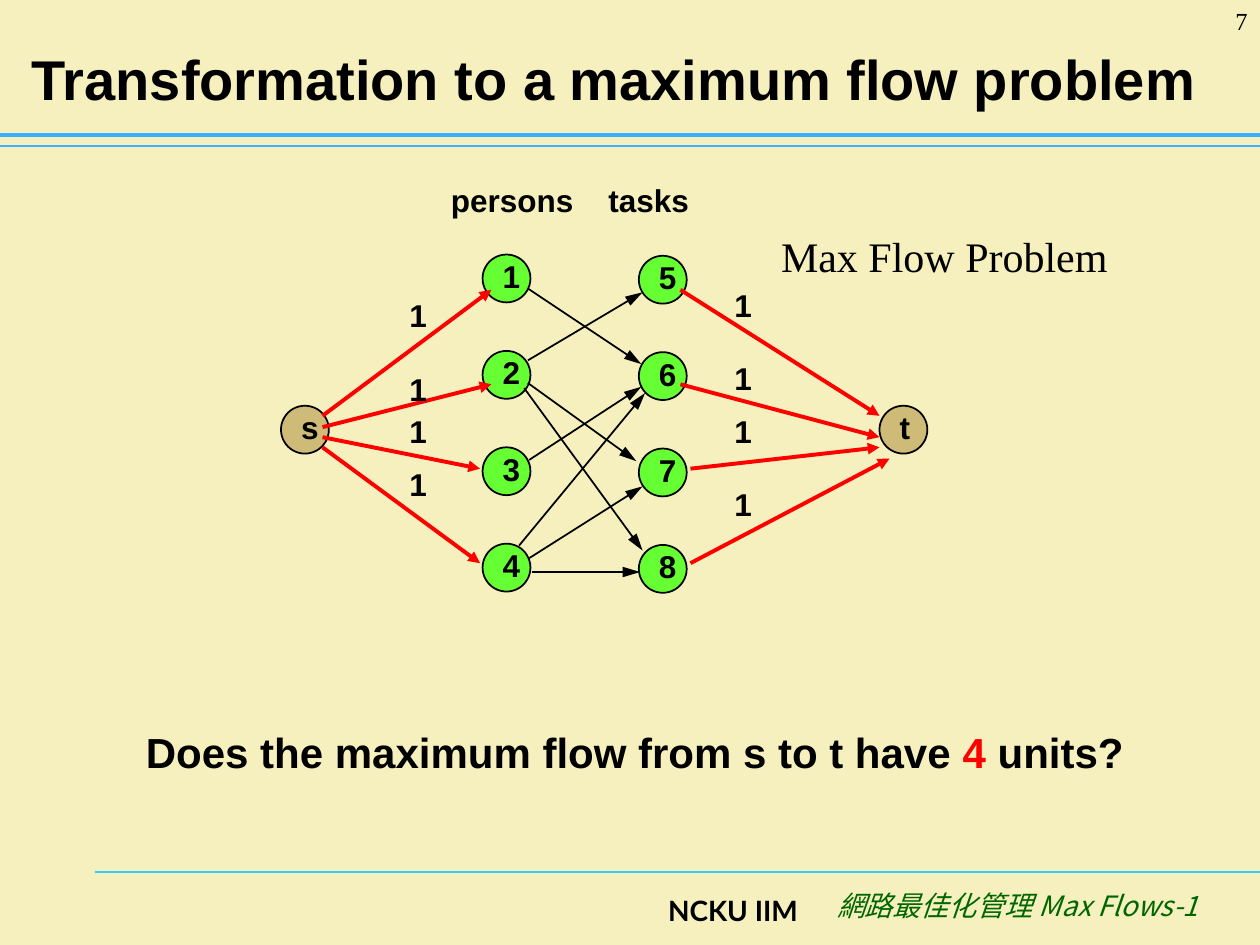
"""Build the slide that turns an assignment problem into a maximum flow problem."""
from lxml import etree
from pptx import Presentation
from pptx.dml.color import RGBColor
from pptx.enum.shapes import MSO_CONNECTOR, MSO_SHAPE
from pptx.enum.text import MSO_ANCHOR, PP_ALIGN
from pptx.oxml.ns import qn
from pptx.util import Inches, Pt

BLACK, RED, GREEN, TAN = "000000", "FF0000", "66FF33", "CDBB77"
RULE_BLUE = "3DB0FF"

deck = Presentation()
deck.slide_width, deck.slide_height = Inches(10), Inches(7.5)
slide = deck.slides.add_slide(deck.slide_layouts[6])
slide.background.fill.solid()
slide.background.fill.fore_color.rgb = RGBColor.from_string("F5F0BD")


def write(box, runs, size, font="Arial", bold=True, italic=False,
          align=PP_ALIGN.LEFT, inset=(0.1, 0.05), wrap=True):
    label = slide.shapes.add_textbox(*[Inches(v) for v in box])
    frame = label.text_frame
    frame.word_wrap = wrap
    frame.margin_left = frame.margin_right = Inches(inset[0])
    frame.margin_top = frame.margin_bottom = Inches(inset[1])
    paragraph = frame.paragraphs[0]
    paragraph.alignment = align
    for words, color in runs:
        run = paragraph.add_run()
        run.text = words
        run.font.size, run.font.name = Pt(size), font
        run.font.bold, run.font.italic = bold, italic
        run.font.color.rgb = RGBColor.from_string(color)
        etree.SubElement(run.font._element, qn("a:ea"), typeface=font)
    return frame


def draw_line(start, end, color, width, head=None):
    ends = [Inches(v) for v in (*start, *end)]
    edge = slide.shapes.add_connector(MSO_CONNECTOR.STRAIGHT, *ends)
    edge.line.color.rgb = RGBColor.from_string(color)
    edge.line.width = Pt(width)
    if head:
        etree.SubElement(edge.line._get_or_add_ln(), qn("a:tailEnd"),
                         type="triangle", w="med", len=head)
    etree.SubElement(edge._element.spPr, qn("a:effectLst"))


draw_line((0.75, 6.92), (10, 6.92), "33CCFF", 0.75)
draw_line((0, 1.16), (10, 1.16), RULE_BLUE, 0.75)
draw_line((0, 1.07), (10, 1.07), RULE_BLUE, 2.5)
write((4.43, 7.04, 2, 0.4), [("NCKU IIM", BLACK)], 16, "Lato", align=PP_ALIGN.RIGHT)
write((6.43, 7, 3.18, 0.5), [("網路最佳化管理 Max Flows-1", "006600")], 16,
      "Noto Sans CJK SC", bold=False, italic=True, align=PP_ALIGN.RIGHT)

title = write((0, 0.33, 9.75, 0.58), [("Transformation to a maximum flow problem", BLACK)],
              32, align=PP_ALIGN.CENTER)
title.vertical_anchor = MSO_ANCHOR.MIDDLE
write((1.06, 5.72, 8.17, 0.5),
      [("Does the maximum flow from s to t have ", BLACK), ("4", RED), (" units?", BLACK)], 24)

nodes = [("s", 2.23, 3.22, TAN), ("t", 6.98, 3.22, TAN)]
for row in range(4):
    top = 2.02 + 0.765 * row
    nodes += [(str(row + 1), 3.83, top, GREEN), (str(row + 5), 5.07, top + 0.01, GREEN)]
for name, left, top, color in nodes:
    node = slide.shapes.add_shape(MSO_SHAPE.OVAL, Inches(left), Inches(top),
                                  Inches(0.38), Inches(0.38))
    node.shadow.inherit = False
    node.fill.solid()
    node.fill.fore_color.rgb = RGBColor.from_string(color)
    node.line.color.rgb = RGBColor.from_string(BLACK)
    node.line.width = Pt(1)
    write((left + 0.16, top + 0.02, 0.16, 0.3), [(name, BLACK)], 18, inset=(0, 0))

possible_tasks = [
    ((4.19, 2.29), (5.09, 2.89)), ((4.19, 3.04), (5.05, 3.66)),
    ((4.16, 3.08), (5.1, 4.37)), ((4.12, 4.33), (5.12, 3.12)),
    ((4.2, 4.43), (5.1, 3.86)), ((4.19, 2.86), (5.1, 2.32)),
    ((4.2, 3.65), (5.09, 3.07)), ((4.22, 4.54), (5.08, 4.54)),
]
for start, end in possible_tasks:
    draw_line(start, end, BLACK, 1, "lg")

unit_flows = [
    ((2.56, 3.3), (3.9, 2.3), (3.15, 2.3)), ((2.56, 3.39), (3.9, 3.05), (3.15, 2.89)),
    ((2.56, 3.47), (3.81, 3.72), (3.15, 3.22)), ((2.56, 3.55), (3.81, 4.47), (3.15, 3.64)),
    ((5.4, 2.3), (6.98, 3.3), (5.73, 2.22)), ((5.4, 3.05), (6.98, 3.47), (5.73, 2.8)),
    ((5.48, 3.72), (6.98, 3.55), (5.73, 3.22)), ((5.48, 4.47), (7.06, 3.64), (5.73, 3.8)),
]
for start, end, capacity in unit_flows:
    draw_line(start, end, RED, 2.25, "med")
    write((*capacity, 0.35, 0.4), [("1", BLACK)], 18)

write((3.48, 1.39, 1.25, 0.4), [("persons", BLACK)], 18)
write((4.73, 1.39, 1.08, 0.4), [("tasks", BLACK)], 18)
write((6.1, 1.78, 2.79, 0.5), [("Max Flow Problem", BLACK)], 24,
      "Times New Roman", bold=False, wrap=False)
write((9.17, 0, 0.83, 0.5), [("7", BLACK)], 14, "Times New Roman", bold=False,
      align=PP_ALIGN.RIGHT)

deck.save("out.pptx")
